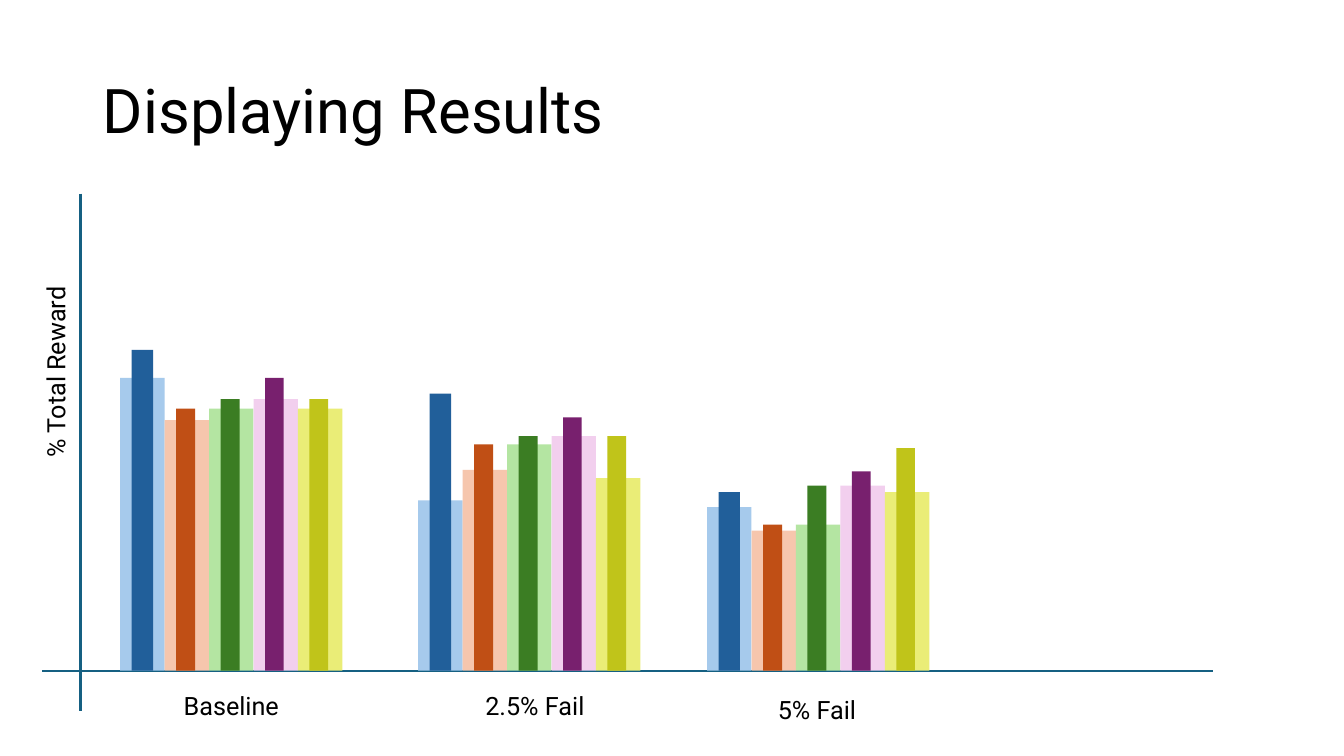
from dataclasses import dataclass

from lxml import etree
from pptx import Presentation
from pptx import util as u
from pptx.dml.color import RGBColor
from pptx.enum import shapes, text
from pptx.oxml.ns import qn


@dataclass(frozen=True)
class Theme:
    font: str = "Roboto"
    ink: str = "000000"
    axis: str = "156082"
    title_size: int = 44
    label_size: int = 18
    axis_width: float = 1.5
    # One (wide bar, narrow bar) colour pair per series
    series: tuple = (
        ("A6CAEC", "215F9A"),
        ("F6C6AD", "C04F15"),
        ("B4E5A2", "3B7D23"),
        ("F2CFEE", "78206E"),
        ("EAED77", "C0C41A"),
    )


class SlideBuilder:
    def __init__(self, slide, theme):
        self.slide = slide
        self.theme = theme

    def set_text(self, sp, words, size, align):
        tf = sp.text_frame
        tf.text = words
        tf.word_wrap = True
        p = tf.paragraphs[0]
        p.alignment = align
        font = p.runs[0].font
        font.name = self.theme.font
        font.size = u.Pt(size)
        font.color.rgb = RGBColor.from_string(self.theme.ink)
        return tf

    def title(self, words, left, top, width, height):
        sp = self.slide.shapes.title
        sp.left, sp.top = u.Cm(left), u.Cm(top)
        sp.width, sp.height = u.Cm(width), u.Cm(height)
        tf = self.set_text(sp, words, self.theme.title_size, text.PP_ALIGN.LEFT)
        tf.vertical_anchor = text.MSO_ANCHOR.MIDDLE
        tf.auto_size = text.MSO_AUTO_SIZE.NONE
        tf.paragraphs[0].line_spacing = 0.9

    def label(self, words, left, top, width, rotation=0):
        sp = self.slide.shapes.add_textbox(
            u.Cm(left), u.Cm(top), u.Cm(width), u.Cm(1.02))
        sp.rotation = rotation
        tf = self.set_text(sp, words, self.theme.label_size, text.PP_ALIGN.CENTER)
        tf.auto_size = text.MSO_AUTO_SIZE.SHAPE_TO_FIT_TEXT

    def axis(self, x1, y1, x2, y2):
        line = self.slide.shapes.add_connector(
            shapes.MSO_CONNECTOR.STRAIGHT, u.Cm(x1), u.Cm(y1), u.Cm(x2), u.Cm(y2))
        line.line.color.rgb = RGBColor.from_string(self.theme.axis)
        line.line.width = u.Pt(self.theme.axis_width)
        etree.SubElement(line._element.spPr, qn("a:effectLst"))

    def bar(self, left, base, width, height, color):
        sp = self.slide.shapes.add_shape(
            shapes.MSO_SHAPE.RECTANGLE,
            u.Cm(left), u.Cm(base - height), u.Cm(width), u.Cm(height))
        sp.shadow.inherit = False
        sp.fill.solid()
        sp.fill.fore_color.rgb = RGBColor.from_string(color)
        sp.line.fill.background()


# Bar geometry in centimetres
BASE = 16.9
WIDE = 1.12
INSET = 0.29
NARROW = (0.54, 0.48, 0.48, 0.47, 0.47)

# Name, left of bars, label left, label top, (wide, narrow) heights per series
GROUPS = (
    ("Baseline", 3.03, 3.86, 17.27,
     ((7.38, 8.08), (6.31, 6.6), (6.6, 6.84), (6.84, 7.38), (6.6, 6.84))),
    ("2.5% Fail", 10.54, 11.51, 17.27,
     ((4.29, 6.98), (5.06, 5.7), (5.7, 5.91), (5.91, 6.38), (4.85, 5.91))),
    ("5% Fail", 17.82, 18.62, 17.37,
     ((4.12, 4.5), (3.53, 3.68), (3.68, 4.66), (4.66, 5.02), (4.5, 5.61))),
)


def main():
    prs = Presentation()
    prs.slide_width, prs.slide_height = u.Cm(33.87), u.Cm(19.05)
    theme = Theme()
    builder = SlideBuilder(prs.slides.add_slide(prs.slide_layouts[5]), theme)

    # Title and axes
    builder.title("Displaying Results", 2.34, 1.02, 29.21, 3.68)
    builder.axis(2.03, 4.88, 2.03, 17.91)
    builder.axis(1.07, BASE, 30.56, BASE)

    # Bar groups: each narrow bar stands in front of its wide bar
    for name, group_left, label_left, label_top, heights in GROUPS:
        for i, (wide_height, narrow_height) in enumerate(heights):
            left = group_left + i * WIDE
            pale, dark = theme.series[i]
            builder.bar(left, BASE, WIDE, wide_height, pale)
            builder.bar(left + INSET, BASE, NARROW[i], narrow_height, dark)
        builder.label(name, label_left, label_top, 3.94)

    # Vertical axis label
    builder.label("% Total Reward", -1.75, 8.86, 6.3, rotation=270)

    prs.save("out.pptx")


if __name__ == "__main__":
    main()
